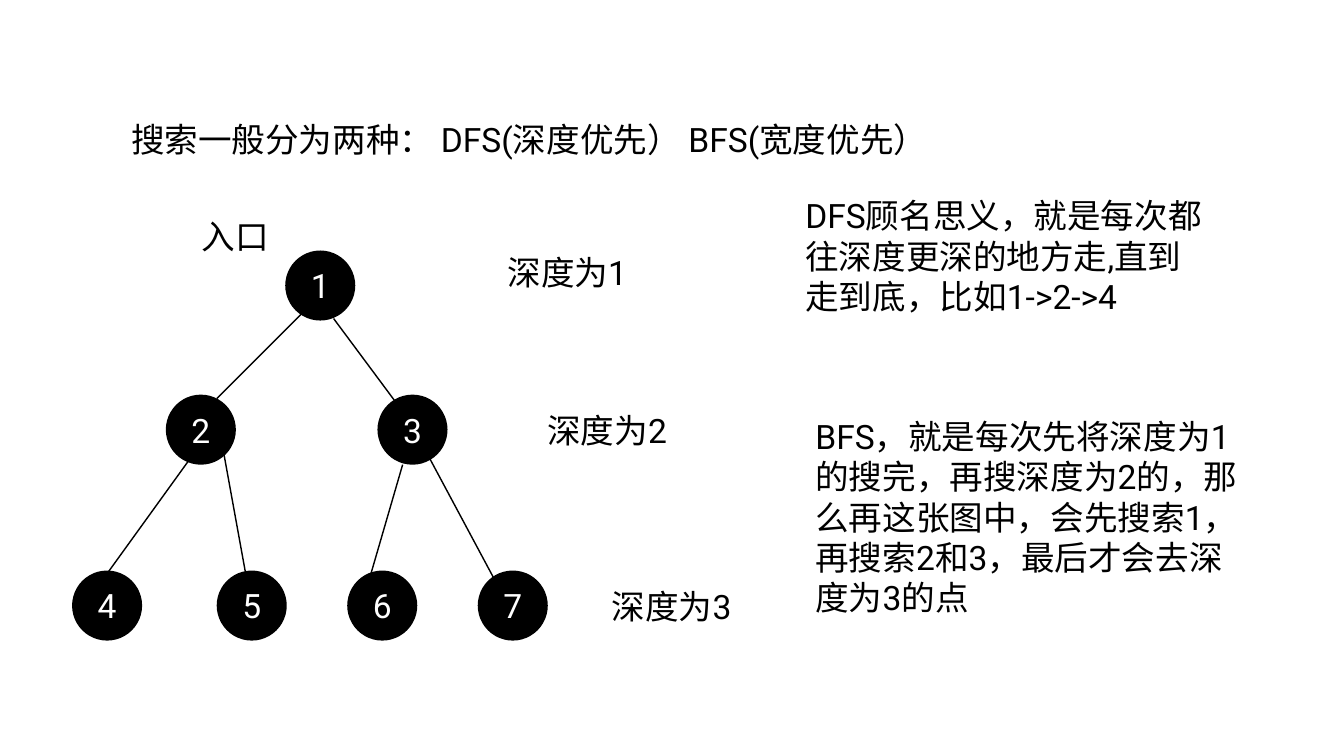
import pptx
import pptx.dml.color
import pptx.enum.shapes
import pptx.enum.text
import pptx.oxml.ns
import pptx.util
from lxml import etree

EMU_PER_PX = 9144
COLORS = {"ink": "000000", "paper": "FFFFFF"}
NODE_SIZE = 139
LEAF_TOP, MIDDLE_TOP, ROOT_TOP = 1132, 783, 497
NODES = {
    "1": (566, ROOT_TOP),
    "2": (329, MIDDLE_TOP),
    "3": (749, MIDDLE_TOP),
    "4": (143, LEAF_TOP),
    "5": (430, LEAF_TOP),
    "6": (689, LEAF_TOP),
    "7": (948, LEAF_TOP),
}
EDGES = [
    (430, 791, 611, 610),
    (662, 632, 798, 815),
    (209, 1143, 378, 909),
    (717, 1204, 799, 922),
    (490, 1152, 444, 899),
    (983, 1153, 847, 899),
]
DEPTH_LABELS = {"1": (1001, 487), "2": (1080, 800), "3": (1208, 1149)}
TEXTS = [
    ("搜索一般分为两种： DFS(深度优先） BFS(宽度优先）", 254, 223, 1596, 106),
    ("入口", 394, 417, 146, 104),
    ("DFS顾名思义，就是每次都往深度更深的地方走,直到走到底，比如1->2->4", 1592, 360, 799, 295),
    (
        "BFS，就是每次先将深度为1的搜完，再搜深度为2的，"
        "那么再这张图中，会先搜索1，再搜索2和3，最后才会去深度为3的点",
        1612, 783, 878, 485,
    ),
]


def px(length):
    return pptx.util.Emu(length * EMU_PER_PX)


def rgb(name):
    return pptx.dml.color.RGBColor.from_string(COLORS[name])


def write_text(frame, text, *, font="Roboto", size=48, color="ink", align="LEFT", inset=6):
    frame.word_wrap = True
    frame.vertical_anchor = pptx.enum.text.MSO_ANCHOR.MIDDLE
    frame.margin_left = frame.margin_right = px(inset)
    frame.margin_top = frame.margin_bottom = px(inset)
    paragraph = frame.paragraphs[0]
    paragraph.alignment = getattr(pptx.enum.text.PP_ALIGN, align)
    paragraph.space_before = pptx.util.Pt(24)
    run = paragraph.add_run()
    run.text = text
    run.font.name = font
    run.font.size = pptx.util.Pt(size)
    run.font.color.rgb = rgb(color)


class TreeSlide:
    """Draws the elements of a search tree on one slide in a shared style."""

    def __init__(self, slide, line_width=2):
        self.slide = slide
        self.line_width = pptx.util.Pt(line_width)

    def text(self, text, left, top, width, height):
        box = self.slide.shapes.add_textbox(px(left), px(top), px(width), px(height))
        write_text(box.text_frame, text)

    def node(self, label, left, top):
        shape = self.slide.shapes.add_shape(
            pptx.enum.shapes.MSO_SHAPE.OVAL, px(left), px(top), px(NODE_SIZE), px(NODE_SIZE)
        )
        shape.shadow.inherit = False
        shape.fill.solid()
        shape.fill.fore_color.rgb = rgb("ink")
        shape.line.fill.background()
        write_text(shape.text_frame, label, color="paper", align="CENTER")

    def edge(self, *ends):
        connector = self.slide.shapes.add_connector(
            pptx.enum.shapes.MSO_CONNECTOR.STRAIGHT, *map(px, ends)
        )
        connector.line.color.rgb = rgb("ink")
        connector.line.width = self.line_width
        etree.SubElement(connector._element.spPr, pptx.oxml.ns.qn("a:effectLst"))


def main():
    presentation = pptx.Presentation()
    presentation.slide_width = px(2667)
    presentation.slide_height = px(1500)
    tree = TreeSlide(presentation.slides.add_slide(presentation.slide_layouts[6]))
    for label, position in NODES.items():
        tree.node(label, *position)
    for ends in EDGES:
        tree.edge(*ends)
    for depth, position in DEPTH_LABELS.items():
        tree.text(f"深度为{depth}", *position, 251, 106)
    for text, *bounds in TEXTS:
        tree.text(text, *bounds)
    presentation.save("out.pptx")


if __name__ == "__main__":
    main()
